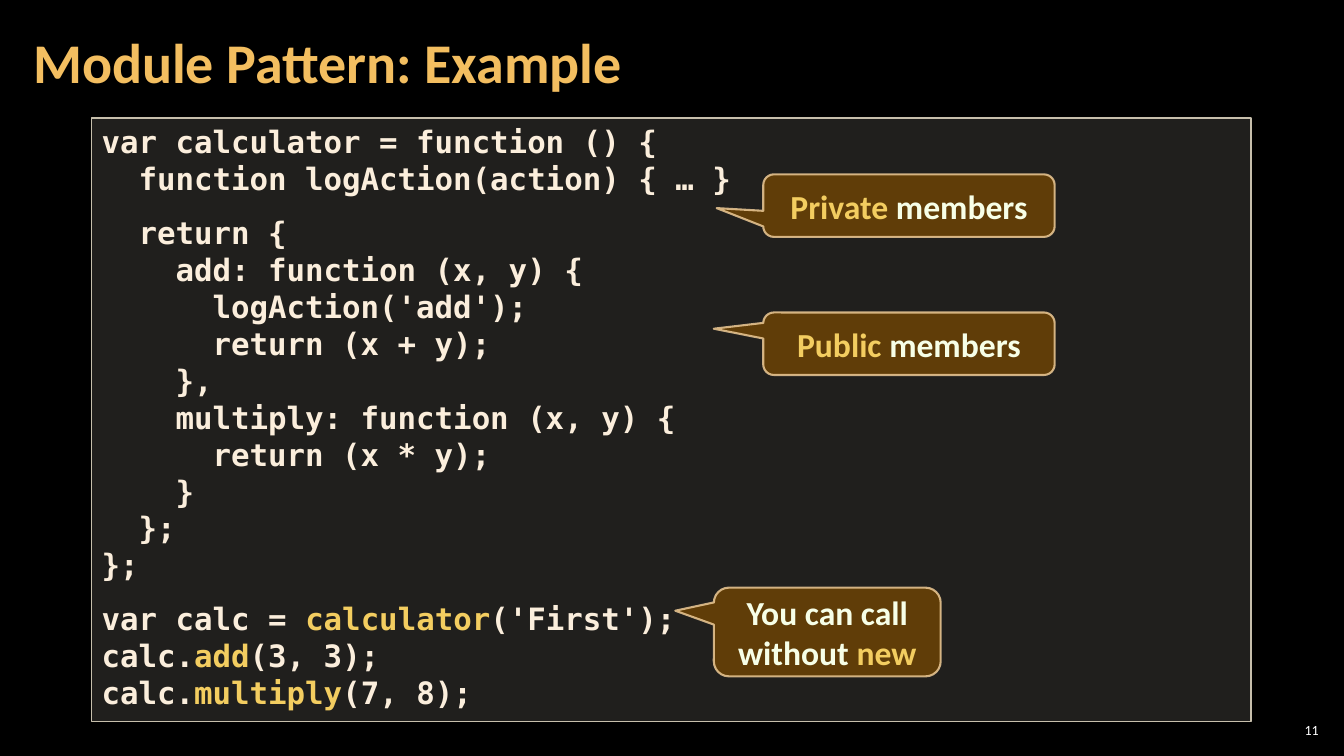
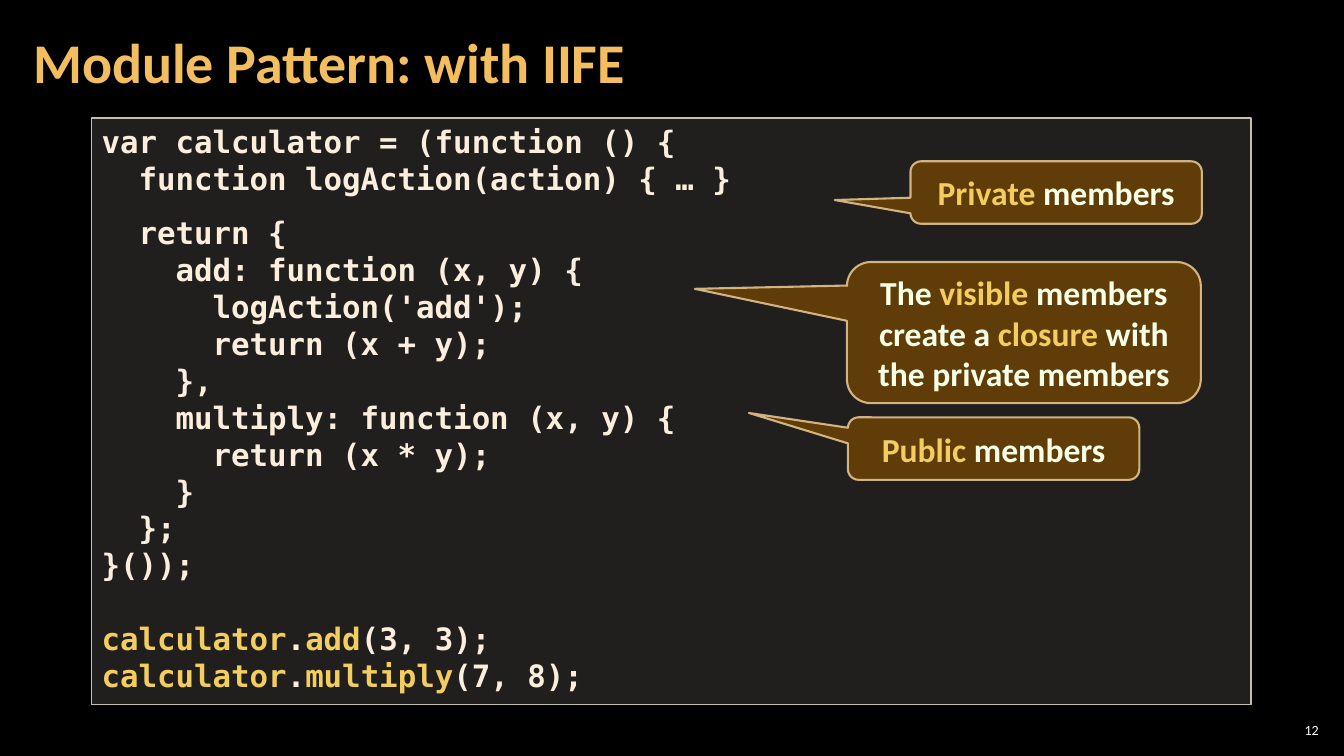
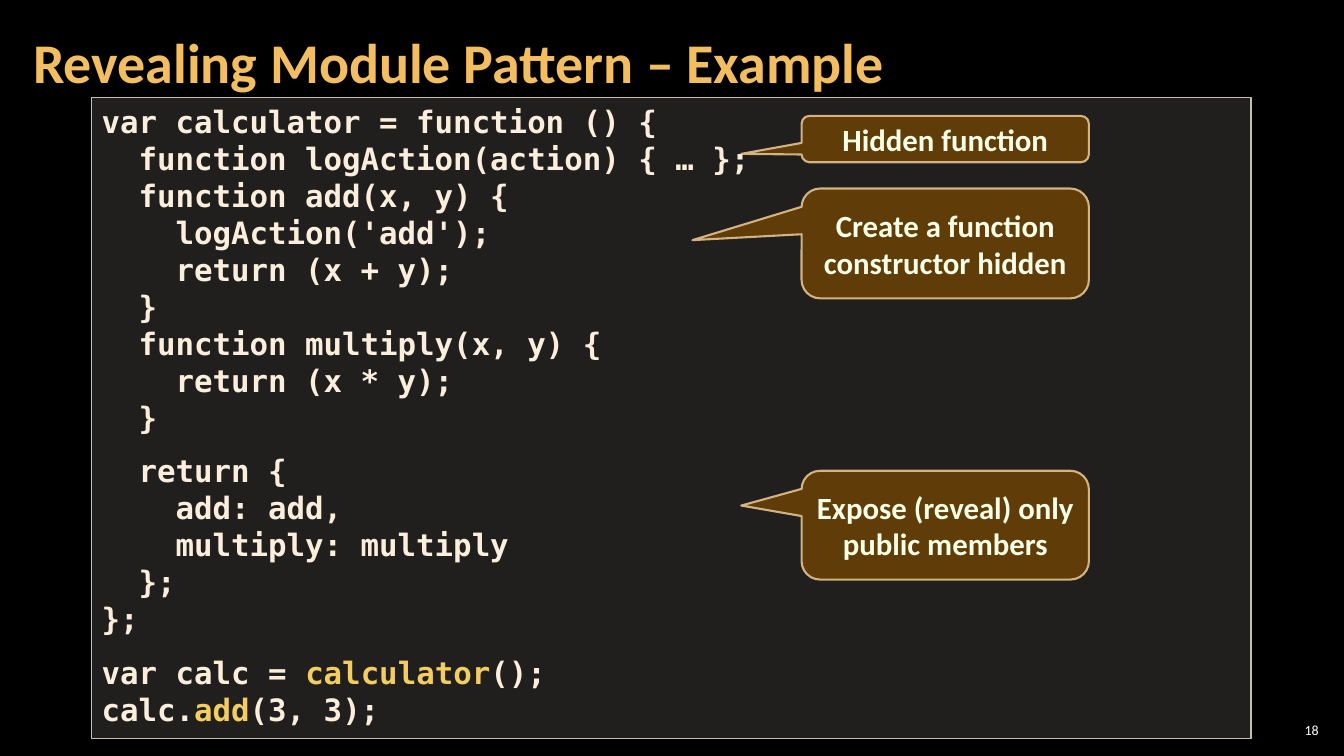
"""Build three slides on the JavaScript module pattern."""
from dataclasses import dataclass

from lxml.etree import SubElement
from pptx import Presentation
from pptx.dml.color import RGBColor
from pptx.enum.shapes import MSO_SHAPE as Preset
from pptx.enum.text import MSO_ANCHOR as Anchor, MSO_AUTO_SIZE as AutoSize, PP_ALIGN as Align
from pptx.oxml.ns import qn
from pptx.shapes.autoshape import Shape
from pptx.slide import Slide
from pptx.text.text import TextFrame, _Paragraph as Paragraph
from pptx.util import Inches, Pt


@dataclass(frozen=True)
class Theme:
    background: str = "000000"
    title: str = "F3BE60"
    number: str = "FFFFFF"
    code: str = "FBEEDC"
    code_fill: str = "D9D5C7"
    code_border: str = "C7BFAC"
    highlight: str = "F3CD60"
    note: str = "F7FFE7"
    note_fill: str = "643F07"
    note_border: str = "F8D49E"
    text_font: str = "Calibri"
    code_font: str = "DejaVu Sans Mono"
    title_size: float = 40
    code_size: float = 22
    number_size: float = 10
    block_gap: float = 12
    line_gap: float = 26.4


@dataclass(frozen=True)
class Block:
    lines: tuple[str, ...]
    gap: float


@dataclass(frozen=True)
class Callout:
    text: str
    left: float
    top: float
    width: float
    height: float
    tip: tuple[float, float]
    size: float = 24


@dataclass(frozen=True)
class Lesson:
    number: int
    title: str
    code_top: float
    code_height: float
    blocks: tuple[Block, ...]
    callouts: tuple[Callout, ...]


THEME = Theme()
MARK = "`"
LOG_ACTION = "  function logAction(action) { … }"
PUBLIC_API = (
    "  return {",
    "    add: function (x, y) {",
    "      logAction('add');",
    "      return (x + y);",
    "    },",
    "    multiply: function (x, y) {",
    "      return (x * y);",
    "    }",
    "  };",
)


def member_callout(kind: str, left: float, top: float, tip: tuple[float, float]) -> Callout:
    """Describe a callout that labels private or public members."""
    return Callout(f"`{kind} `members", left, top, 2.89, 0.62, tip)


def reveal_callout(text: str, top: float, height: float, tip: tuple[float, float]) -> Callout:
    """Describe a callout in the column of the revealing pattern."""
    return Callout(text, 7.95, top, 2.85, height, tip, 22)


LESSONS = (
    Lesson(
        11, "Module Pattern: Example", 1.17, 5.99,
        (
            Block(("var calculator = function () {", LOG_ACTION), 0),
            Block((*PUBLIC_API, "};"), THEME.block_gap),
            Block((
                "var calc = `calculator`('First');",
                "calc.`add`(3, 3);",
                "calc.`multiply`(7, 8);",
            ), THEME.block_gap),
        ),
        (
            member_callout("Private", 7.57, 1.73, (-0.66, 0.04)),
            member_callout("Public", 7.57, 3.1, (-0.67, -0.24)),
            Callout("You can call without `new`", 7.08, 5.83, 2.25, 0.88, (-0.67, -0.24)),
        ),
    ),
    Lesson(
        12, "Module Pattern: with IIFE", 1.17, 5.82,
        (
            Block(("var calculator = (function () {", LOG_ACTION), 0),
            Block((*PUBLIC_API, "}());"), THEME.block_gap),
            Block((
                "`calculator`.`add`(3, 3);",
                "`calculator`.`multiply`(7, 8);",
            ), THEME.line_gap),
        ),
        (
            Callout("The `visible` members create a `closure `with the private members",
                    8.4, 2.6, 3.51, 1.4, (-0.93, -0.31)),
            member_callout("Private", 9.03, 1.6, (-0.76, 0.12)),
            member_callout("Public", 8.41, 4.14, (-0.84, -0.57)),
        ),
    ),
    Lesson(
        18, "Revealing Module Pattern – Example", 0.97, 6.36,
        (
            Block((
                "var calculator = function () {",
                LOG_ACTION + ";",
                "  function add(x, y) {",
                "    logAction('add');",
                "    return (x + y);",
                "  }",
                "  function multiply(x, y) {",
                "    return (x * y);",
                "  }",
            ), 0),
            Block((
                "  return {",
                "    add: add,",
                "    multiply: multiply",
                "  };",
                "};",
            ), THEME.block_gap),
            Block(("var calc = `calculator`();", "calc.`add`(3, 3);"), THEME.block_gap),
        ),
        (
            reveal_callout("Create a function constructor hidden", 1.87, 1.09, (-0.88, -0.03)),
            reveal_callout("Hidden function", 1.15, 0.46, (-0.71, 0.32)),
            reveal_callout("Expose (reveal) only public members", 4.67, 1.08, (-0.71, -0.18)),
        ),
    ),
)


def add_runs(paragraph: Paragraph, text: str, font: str, size: float, color: str,
             bold: bool = True) -> None:
    """Add text run by run, highlighting the parts between marks."""
    for index, part in enumerate(text.split(MARK)):
        if part:
            run = paragraph.add_run()
            run.text = part
            run.font.name = font
            run.font.size = Pt(size)
            run.font.bold = bold
            run.font.color.rgb = RGBColor.from_string(THEME.highlight if index % 2 else color)


def paint(shape: Shape, fill: str, fill_alpha: int, border: str, border_alpha: int,
          width: float) -> None:
    """Give a shape a translucent fill and border and no shadow."""
    shape.shadow.inherit = False
    shape.fill.solid()
    shape.fill.fore_color.rgb = RGBColor.from_string(fill)
    shape.line.color.rgb = RGBColor.from_string(border)
    shape.line.width = Pt(width)
    properties = shape.fill._xPr
    solids = (properties.find(qn("a:solidFill")),
              properties.find(qn("a:ln")).find(qn("a:solidFill")))
    for solid, alpha in zip(solids, (fill_alpha, border_alpha)):
        if alpha < 100:
            SubElement(solid[0], qn("a:alpha")).set("val", str(alpha * 1000))


def set_frame(frame: TextFrame, anchor: Anchor, side: float, vertical: float) -> None:
    """Set wrapping, anchor and insets of a text frame."""
    frame.word_wrap = True
    frame.vertical_anchor = anchor
    frame.margin_left = frame.margin_right = Inches(side)
    frame.margin_top = frame.margin_bottom = Inches(vertical)


def add_heading(slide: Slide, lesson: Lesson) -> None:
    """Place the slide number and the title."""
    number = slide.shapes.add_textbox(Inches(12.65), Inches(7.14), Inches(0.47), Inches(0.21))
    set_frame(number.text_frame, Anchor.MIDDLE, 0.04, 0.04)
    page = number.text_frame.paragraphs[0]
    page.alignment = Align.RIGHT
    add_runs(page, str(lesson.number), THEME.text_font, THEME.number_size, THEME.number, False)

    title = slide.shapes.title
    title.left, title.top = Inches(0.21), Inches(0.04)
    title.width, title.height = Inches(10.47), Inches(1.21)
    set_frame(title.text_frame, Anchor.MIDDLE, 0.12, 0.04)
    heading = title.text_frame.paragraphs[0]
    heading.alignment = Align.LEFT
    heading.line_spacing = 0.9
    add_runs(heading, lesson.title, THEME.text_font, THEME.title_size, THEME.title)


def add_code(slide: Slide, lesson: Lesson) -> None:
    """Draw the code panel with its blocks of lines."""
    panel = slide.shapes.add_shape(Preset.RECTANGLE, Inches(0.91), Inches(lesson.code_top),
                                   Inches(11.5), Inches(lesson.code_height))
    paint(panel, THEME.code_fill, 15, THEME.code_border, 100, 1)
    frame = panel.text_frame
    set_frame(frame, Anchor.TOP, 0.1, 0.05)
    frame.auto_size = AutoSize.SHAPE_TO_FIT_TEXT
    lines = [(line, 0 if index else block.gap)
             for block in lesson.blocks for index, line in enumerate(block.lines)]
    for index, (line, gap) in enumerate(lines):
        paragraph = frame.add_paragraph() if index else frame.paragraphs[0]
        paragraph.alignment = Align.LEFT
        paragraph.space_before = Pt(gap)
        add_runs(paragraph, line, THEME.code_font, THEME.code_size, THEME.code)


def add_callout(slide: Slide, callout: Callout) -> None:
    """Draw one rounded callout pointing at the code."""
    balloon = slide.shapes.add_shape(
        Preset.ROUNDED_RECTANGULAR_CALLOUT, Inches(callout.left), Inches(callout.top),
        Inches(callout.width), Inches(callout.height))
    for index, value in enumerate((*callout.tip, 0.17)):
        balloon.adjustments[index] = value
    paint(balloon, THEME.note_fill, 95, THEME.note_border, 80, 1.5)
    set_frame(balloon.text_frame, Anchor.MIDDLE, 0.1, 0.05)
    paragraph = balloon.text_frame.paragraphs[0]
    paragraph.alignment = Align.CENTER
    add_runs(paragraph, callout.text, THEME.text_font, callout.size, THEME.note)


def main() -> None:
    """Build and save the presentation."""
    deck = Presentation()
    deck.slide_width, deck.slide_height = Inches(13.33), Inches(7.5)
    backdrop = deck.slide_master.background.fill
    backdrop.solid()
    backdrop.fore_color.rgb = RGBColor.from_string(THEME.background)
    title_only = deck.slide_layouts.get_by_name("Title Only")
    for lesson in LESSONS:
        slide = deck.slides.add_slide(title_only)
        add_heading(slide, lesson)
        add_code(slide, lesson)
        for callout in lesson.callouts:
            add_callout(slide, callout)
    deck.save("out.pptx")


if __name__ == "__main__":
    main()
